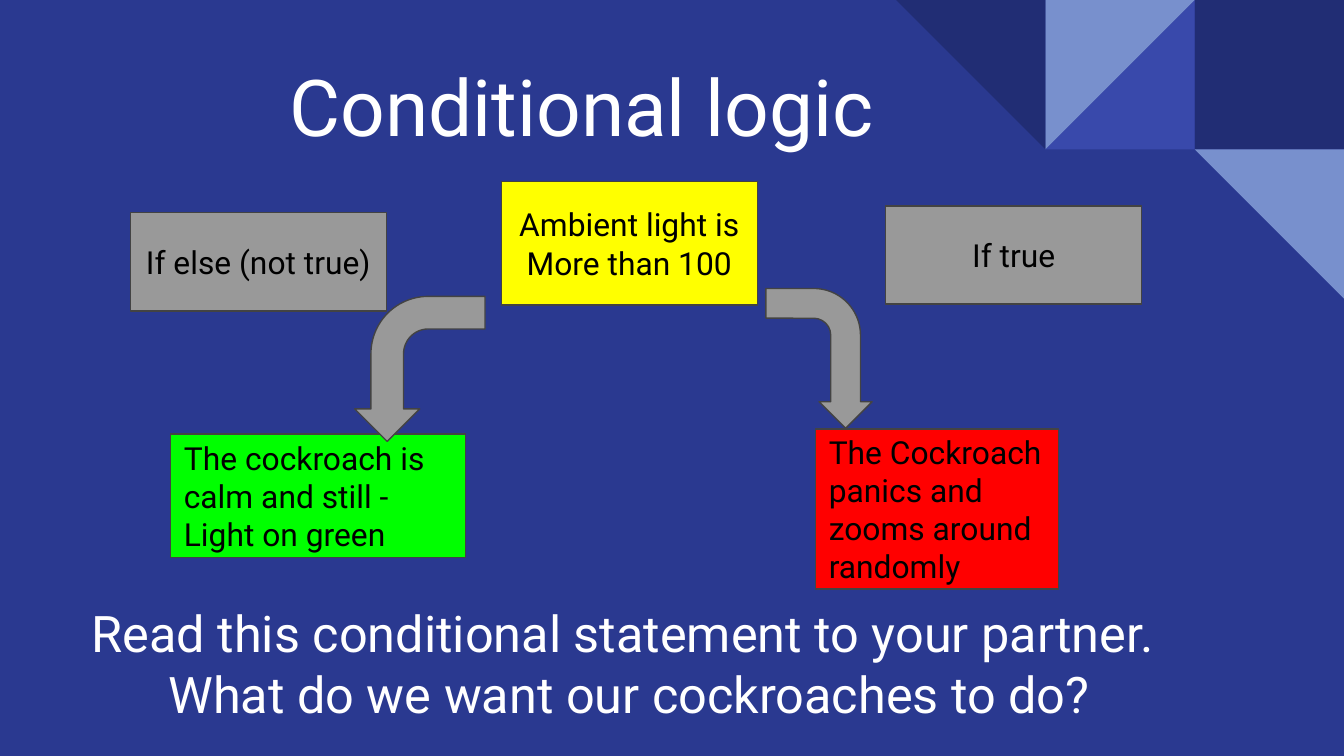
"""Build the conditional logic slide: a light test with two outcomes."""
from pptx import Presentation
from pptx.dml.color import RGBColor as Rgb
from pptx.enum.shapes import MSO_SHAPE as Kind
from pptx.enum.text import MSO_ANCHOR as Anchor, PP_ALIGN as Align
from pptx.util import Inches, Pt

THEME = {
    "font": "Roboto", "back": "2A3990", "text": "FFFFFF", "ink": "000000", "edge": "434343",
    "dark": "212D74", "mid": "3949AB", "pale": "7890CD",
    "grey": "999999", "test": "FFFF00", "calm": "00FF00", "panic": "FF0000",
    "head": 42, "ask": 27, "label": 17,
}

deck = Presentation()
deck.slide_width = Inches(10)
deck.slide_height = deck.slide_width * 9 // 16
unit = deck.slide_width / 100
tile = 100 / 9
slide = deck.slides.add_slide(deck.slide_layouts[5])
slide.background.fill.solid()
slide.background.fill.fore_color.rgb = Rgb.from_string(THEME["back"])


def draw(kind, box, fill, line=True, turn=0, flip=False):
    shape = slide.shapes.add_shape(kind, *(round(n * unit) for n in box))
    shape.shadow.inherit = False
    shape.rotation = turn
    shape.fill.solid()
    shape.fill.fore_color.rgb = Rgb.from_string(THEME[fill])
    if line:
        shape.line.color.rgb = Rgb.from_string(THEME["edge"])
        shape.line.width = Pt(0.75)
    else:
        shape.line.fill.background()
    if flip:
        shape._element.spPr.xfrm.set("flipH", "1")
    return shape


def write(shape, lines, size, color, align, anchor=Anchor.MIDDLE):
    frame = shape.text_frame
    form = {"word_wrap": True, "vertical_anchor": anchor}
    form |= {f"margin_{side}": Inches(0.1) for side in ("left", "right", "top", "bottom")}
    for key, value in form.items():
        setattr(frame, key, value)
    frame.text = "\n".join(lines)
    for para in frame.paragraphs:
        para.alignment = align
        for key, value in {"name": THEME["font"], "size": Pt(THEME[size]), "bold": False}.items():
            setattr(para.font, key, value)
        para.font.color.rgb = Rgb.from_string(THEME[color])


TILES = [
    (Kind.RECTANGLE, 8, 0, "dark", 0, False),
    (Kind.RIGHT_TRIANGLE, 7, 0, "mid", 0, True),
    (Kind.RIGHT_TRIANGLE, 7, 0, "pale", 180, True),
    (Kind.RIGHT_TRIANGLE, 6, 0, "dark", 180, False),
    (Kind.RIGHT_TRIANGLE, 8, 1, "pale", 180, False),
]
for kind, col, row, fill, turn, flip in TILES:
    draw(kind, (col * tile, row * tile, tile, tile), fill, False, turn, flip)

title = slide.shapes.title
for key, value in zip(("left", "top", "width", "height"), (20.54, 3.26, 65.1, 9.2)):
    setattr(title, key, round(value * unit))
write(title, ["Conditional logic"], "head", "text", Align.LEFT)

BOXES = [
    ((37.3, 13.5, 19.05, 9.2), "test", "Ambient light is More than 100", Align.CENTER),
    ((60.68, 31.92, 18.1, 11.9), "panic", "The Cockroach panics and zooms around randomly", Align.LEFT),
    ((65.9, 15.34, 19.05, 7.3), "grey", "If true", Align.CENTER),
    ((9.7, 15.8, 19.05, 7.34), "grey", "If else (not true)", Align.CENTER),
    ((12.7, 32.3, 21.96, 9.2), "calm", "The cockroach is calm and still - Light on green", Align.LEFT),
]
for box, fill, text, align in BOXES:
    write(draw(Kind.RECTANGLE, box, fill), [text], "label", "ink", align)

ARROWS = [
    ((55.74, 22.72, 10.4, 7.9), 90, False, 0.28),
    ((25.84, 22.6, 10.8, 9.7), 270, True, 0.25),
]
for box, turn, flip, stem in ARROWS:
    arrow = draw(Kind.BENT_ARROW, box, "grey", True, turn, flip)
    for spot, value in enumerate((stem, 0.25, 0.25, 0.44)):
        arrow.adjustments[spot] = value

ask = slide.shapes.add_textbox(*(round(n * unit) for n in (0.26, 43.8, 93.1, 11.1)))
lines = ["Read this conditional statement to your partner. ", "What do we want our cockroaches to do?"]
write(ask, lines, "ask", "text", Align.CENTER, Anchor.TOP)

deck.save("out.pptx")
